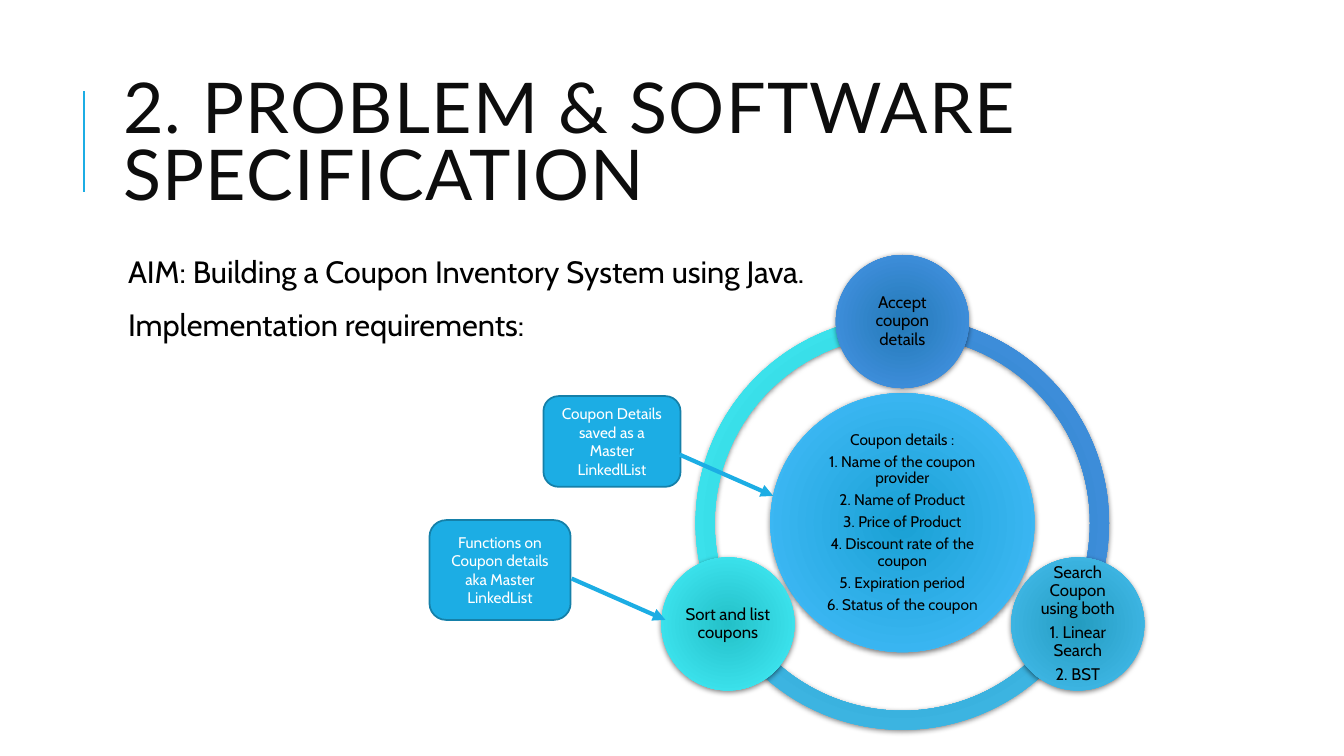
from lxml import etree
from pptx import Presentation
from pptx.dml.color import RGBColor
from pptx.enum.dml import MSO_FILL
from pptx.enum.shapes import MSO_CONNECTOR, MSO_SHAPE
from pptx.enum.text import MSO_ANCHOR, MSO_AUTO_SIZE, PP_ALIGN
from pptx.oxml import parse_xml
from pptx.oxml.ns import qn
from pptx.util import Inches, Pt

LEFT, CENTER = PP_ALIGN.LEFT, PP_ALIGN.CENTER
TOP, MIDDLE = MSO_ANCHOR.TOP, MSO_ANCHOR.MIDDLE
GRADIENT = MSO_FILL.GRADIENT
NS = 'xmlns:a="http://schemas.openxmlformats.org/drawingml/2006/main"'
ACCENT, ACCENT_EDGE = "1CADE4", "1580A9"
TEAL, CYAN, BLUE = ("24C0C8", "44EEFA"), ("249CC0", "46BEF0"), ("237AB8", "4895E7")
HUB_BLUE = ("1AA1D4", "48BFFF")

prs = Presentation()
prs.slide_width, prs.slide_height = Inches(13.33), Inches(7.5)
slide = prs.slides.add_slide(prs.slide_layouts[5])
shapes = slide.shapes


def write(shape, *lines, size=11, font="Cabin", color="000000", align=CENTER, anchor=MIDDLE,
          spacing=1.0, before=0, after=0, inset=None, indent=0, tracking=0):
    frame = shape.text_frame
    frame.word_wrap = True
    frame.auto_size = MSO_AUTO_SIZE.NONE
    frame.vertical_anchor = anchor
    if inset is not None:
        frame.margin_left = frame.margin_right = Inches(inset)
        frame.margin_top = frame.margin_bottom = Inches(inset)
    for i, line in enumerate(lines):
        paragraph = frame.add_paragraph() if i else frame.paragraphs[0]
        paragraph.alignment = align
        paragraph.line_spacing = spacing
        paragraph.space_before, paragraph.space_after = Pt(before), Pt(after)
        if indent:
            paragraph._p.get_or_add_pPr().set("marL", str(Inches(indent)))
        run = paragraph.add_run()
        run.text = line
        run.font.size, run.font.name = Pt(size), font
        run.font.color.rgb = RGBColor.from_string(color)
        if tracking:
            run._r.get_or_add_rPr().set("spc", str(tracking * 100))


def glossy(kind, box, colors):
    """Add a borderless shape with a round gradient and a soft shadow."""
    shape = shapes.add_shape(kind, *map(Inches, box))
    shape.line.fill.background()
    shape.fill.gradient()
    assert shape.fill.type == GRADIENT
    inner, outer = colors
    props = shape._element.spPr
    props.replace(props.find(qn("a:gradFill")), parse_xml(
        f'<a:gradFill {NS} rotWithShape="1"><a:gsLst>'
        f'<a:gs pos="0"><a:srgbClr val="{inner}"/></a:gs>'
        f'<a:gs pos="100000"><a:srgbClr val="{outer}"/></a:gs></a:gsLst>'
        '<a:path path="circle"><a:fillToRect l="100000" t="100000" r="100000" b="100000"/>'
        '</a:path></a:gradFill>'))
    shape.shadow.inherit = False
    props.find(qn("a:effectLst")).append(parse_xml(
        f'<a:outerShdw {NS} blurRad="{Pt(4)}" dist="{Pt(1)}" dir="5400000" rotWithShape="0">'
        '<a:srgbClr val="000000"><a:alpha val="50000"/></a:srgbClr></a:outerShdw>'))
    return shape


# Title
title = shapes.title
title.left, title.top, title.width, title.height = map(Inches, (1.12, 0.64, 10.63, 1.64))
write(title, "2. PROBLEM & SOFTWARE SPECIFICATION", size=50, font="Lato", color="0D0D0D",
      align=LEFT, spacing=0.8, tracking=1)

# Aim and requirements
aim = shapes.add_textbox(*map(Inches, (1.12, 2.5, 10.63, 4.4)))
write(aim, "AIM: Building a Coupon Inventory System using Java.", "Implementation requirements:",
      size=22, align=LEFT, anchor=TOP, spacing=0.9, before=12, after=2, inset=0.05, indent=0.1)

# Ring: each arc spans a third of the circle
for start, end, colors in ((90, 162, TEAL), (18, 90, CYAN), (162, 18, BLUE)):
    arc = glossy(MSO_SHAPE.BLOCK_ARC, (6.9, 3.14, 4.1, 4.1), colors)
    for i, value in enumerate((start, end, 0.046)):
        arc.adjustments[i] = value

# Hub and the three functions around it: circle, text inset, text size, lines
circles = [
    ((7.64, 3.9, 2.62, 2.57), 0.38, 11, HUB_BLUE,
     ["Coupon details :", "1. Name of the coupon provider", "2. Name of Product",
      "3. Price of Product", "4. Discount rate of the coupon", "5. Expiration period",
      "6. Status of the coupon"]),
    ((8.29, 2.53, 1.32, 1.32), 0.195, 12, BLUE, ["Accept coupon details"]),
    ((10.03, 5.53, 1.32, 1.32), 0.195, 12, CYAN,
     ["Search Coupon using both", "1. Linear Search", "2. BST"]),
    ((6.56, 5.53, 1.32, 1.32), 0.195, 12, TEAL, ["Sort and list coupons"]),
]
for box, gap, size, colors, lines in circles:
    glossy(MSO_SHAPE.OVAL, box, colors)
    x, y, w, h = box
    label = shapes.add_textbox(*map(Inches, (x + gap, y + gap, w - 2 * gap, h - 2 * gap)))
    write(label, *lines, size=size, spacing=0.9, after=0.35 * size, inset=0.02)

# Callouts
for box, text in (
    ((4.26, 5.16, 1.4, 0.99), "Functions on Coupon details aka Master LinkedList"),
    ((5.39, 3.93, 1.36, 0.9), "Coupon Details saved as a Master LinkedlList"),
):
    callout = shapes.add_shape(MSO_SHAPE.ROUNDED_RECTANGLE, *map(Inches, box))
    callout.shadow.inherit = False
    callout.fill.solid()
    callout.fill.fore_color.rgb = RGBColor.from_string(ACCENT)
    callout.line.color.rgb = RGBColor.from_string(ACCENT_EDGE)
    callout.line.width = Pt(1.25)
    write(callout, text, color="FFFFFF")

# Title rule and callout arrows
for ends, width, arrow in (
    ((0.83, 1.9, 0.83, 0.9), 1.5, False),
    ((6.74, 4.51, 7.67, 4.92), 3, True),
    ((5.67, 5.74, 6.6, 6.15), 3, True),
):
    line = shapes.add_connector(MSO_CONNECTOR.STRAIGHT, *map(Inches, ends))
    line.line.color.rgb = RGBColor.from_string(ACCENT)
    line.line.width = Pt(width)
    if arrow:
        etree.SubElement(line.line._get_or_add_ln(), qn("a:tailEnd"), type="triangle")
    etree.SubElement(line._element.spPr, qn("a:effectLst"))

prs.save("out.pptx")
